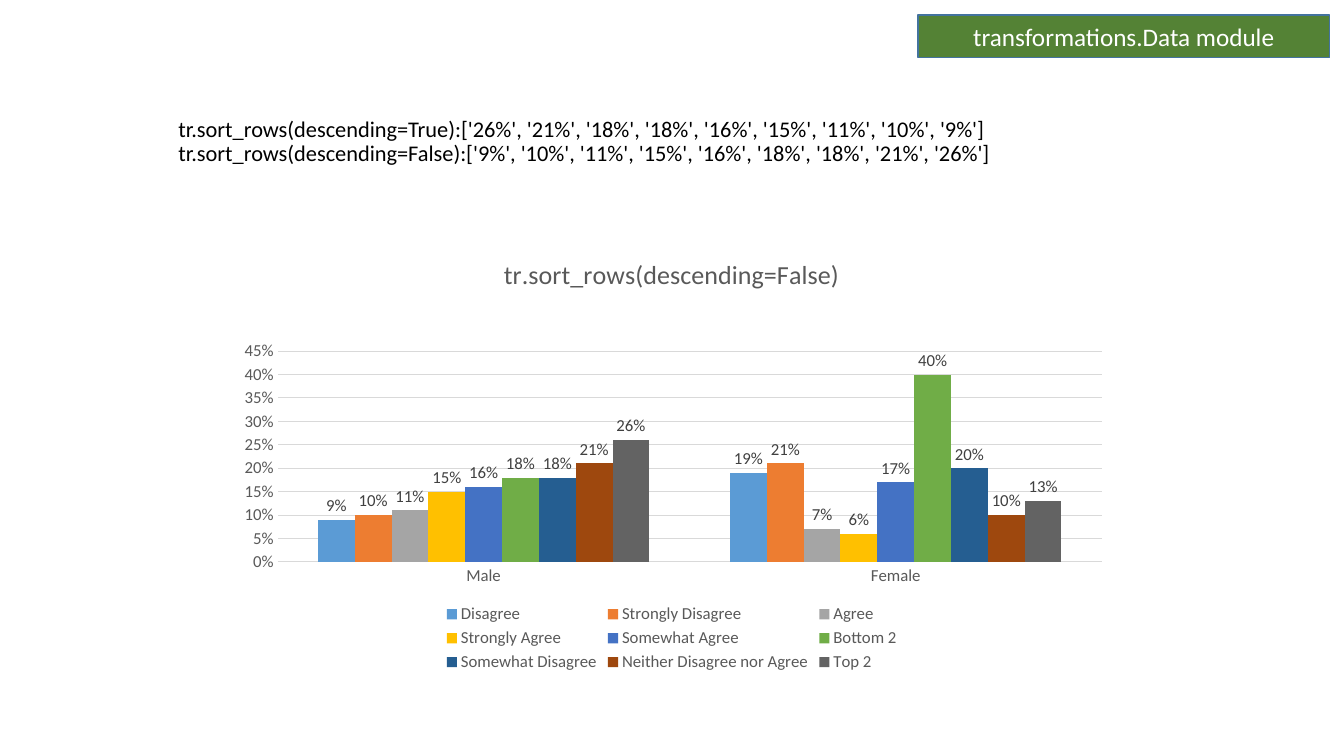
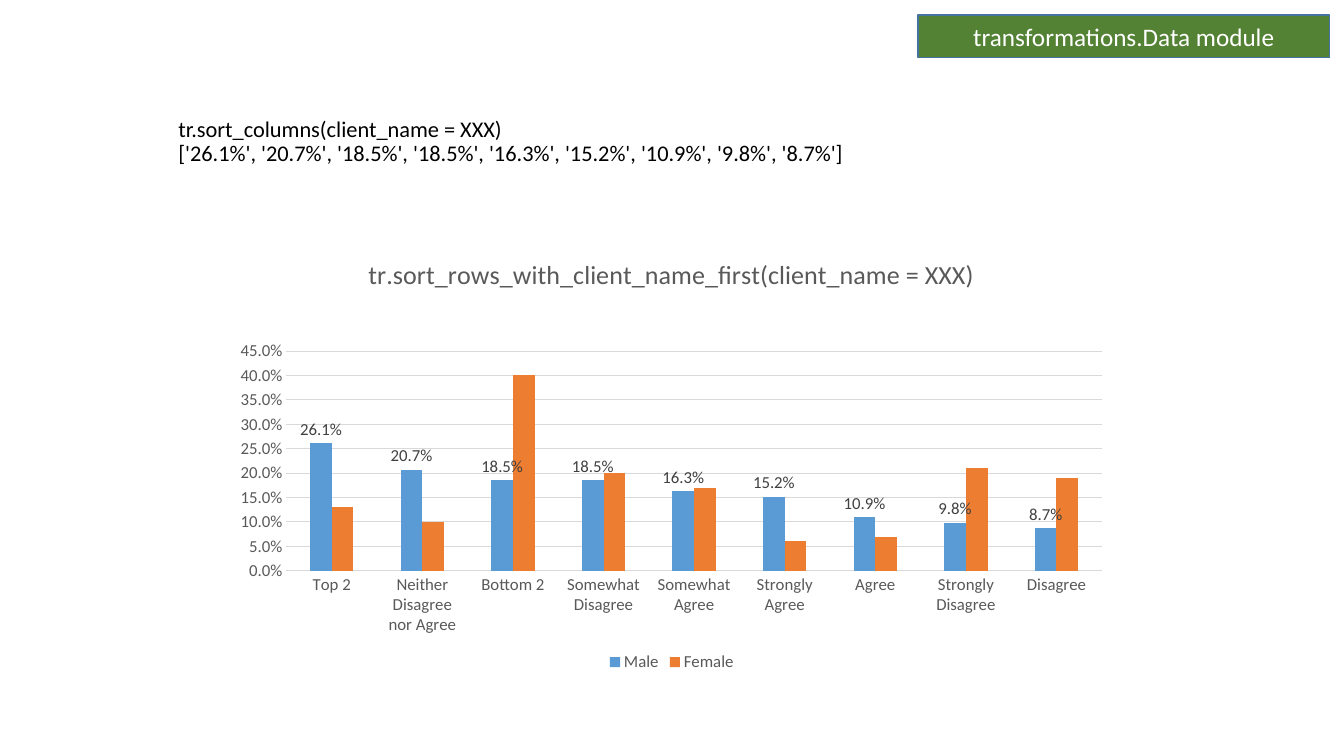
"""Builds two slides on sorting chart data."""
from lxml import etree
from pptx import Presentation
from pptx.chart.data import CategoryChartData
from pptx.dml.color import RGBColor
from pptx.enum.chart import XL_CHART_TYPE, XL_LABEL_POSITION, XL_LEGEND_POSITION, XL_TICK_MARK
from pptx.enum.shapes import MSO_SHAPE
from pptx.enum.text import MSO_ANCHOR, MSO_AUTO_SIZE, PP_ALIGN
from pptx.oxml.ns import qn
from pptx.util import Cm, Pt

COLUMNS = XL_CHART_TYPE.COLUMN_CLUSTERED
OUTSIDE = XL_LABEL_POSITION.OUTSIDE_END
BOTTOM = XL_LEGEND_POSITION.BOTTOM
NO_TICK = XL_TICK_MARK.NONE
RECTANGLE = MSO_SHAPE.RECTANGLE

COLORS = {
    "black": "000000", "white": "FFFFFF", "band": "548235", "edge": "43739E",
    "grey": "595959", "label": "404040", "grid": "D9D9D9",
}
SERIES_COLORS = ["5B9BD5", "ED7D31", "A5A5A5", "FFC000", "4472C4",
                 "70AD47", "255E91", "9E480E", "636363"]


class SlideBuilder:
    font_name = "Calibri"

    def __init__(self, deck):
        self.deck = deck
        self.page = None

    def style(self, font, size, color):
        font.name = self.font_name
        font.size = Pt(size)
        font.bold = False
        font.color.rgb = RGBColor.from_string(COLORS[color])

    def line(self, line, color, width):
        line.color.rgb = RGBColor.from_string(COLORS[color])
        line.width = Pt(width)

    def span(self, para, text, size, color):
        span = para.add_run()
        span.text = text
        self.style(span.font, size, color)

    def new_page(self):
        self.page = self.deck.slides.add_slide(self.deck.slide_layouts[0])
        subtitle = self.page.placeholders[1].element
        subtitle.getparent().remove(subtitle)

    def title(self, lines):
        box = self.page.shapes.title
        box.left, box.top, box.width, box.height = Cm(4.24), Cm(2.39), Cm(25.4), Cm(1.93)
        frame = box.text_frame
        frame.word_wrap = True
        frame.auto_size = MSO_AUTO_SIZE.NONE
        frame.vertical_anchor = MSO_ANCHOR.BOTTOM
        para = frame.paragraphs[0]
        para.alignment = PP_ALIGN.LEFT
        para.line_spacing = 0.9
        for index, text in enumerate(lines):
            if index:
                para.add_line_break()
            self.span(para, text, 16, "black")

    def band(self, text):
        box = self.page.shapes.add_shape(RECTANGLE, Cm(23.14), Cm(0.38), Cm(10.36), Cm(1.07))
        box.shadow.inherit = False
        box.fill.solid()
        box.fill.fore_color.rgb = RGBColor.from_string(COLORS["band"])
        self.line(box.line, "edge", 1)
        box.text_frame.vertical_anchor = MSO_ANCHOR.MIDDLE
        para = box.text_frame.paragraphs[0]
        para.alignment = PP_ALIGN.CENTER
        self.span(para, text, 18, "white")

    def chart(self, heading, categories, series, number_format, labelled, plot_frame):
        data = CategoryChartData(number_format=number_format)
        data.categories = categories
        for name, values in series:
            data.add_series(name, values)
        chart = self.page.shapes.add_chart(
            COLUMNS, Cm(5.64), Cm(5.97), Cm(22.58), Cm(11.07), data).chart
        self.style(chart.font, 10, "black")
        chart.has_title = True
        self.span(chart.chart_title.text_frame.paragraphs[0], heading, 18.6, "grey")
        chart.has_legend = True
        chart.legend.position = BOTTOM
        chart.legend.include_in_layout = False
        self.style(chart.legend.font, 12, "grey")
        self.axes(chart, number_format)
        self.series(chart.plots[0], number_format, labelled)
        self.place_plot(chart, plot_frame)

    def axes(self, chart, number_format):
        for axis in (chart.category_axis, chart.value_axis):
            axis.major_tick_mark = axis.minor_tick_mark = NO_TICK
            self.style(axis.tick_labels.font, 12, "grey")
        self.line(chart.category_axis.format.line, "grid", 0.75)
        values = chart.value_axis
        values.minimum_scale, values.maximum_scale, values.major_unit = 0, 0.45, 0.05
        values.format.line.fill.background()
        values.has_major_gridlines = True
        self.line(values.major_gridlines.format.line, "grid", 0.75)
        values.tick_labels.number_format = number_format
        values.tick_labels.number_format_is_linked = False

    def series(self, plot, number_format, labelled):
        plot.gap_width = 219
        plot.overlap = 0
        plot.vary_by_categories = False
        for index, (series, color) in enumerate(zip(plot.series, SERIES_COLORS)):
            series.format.fill.solid()
            series.format.fill.fore_color.rgb = RGBColor.from_string(color)
            if index < labelled:
                labels = series.data_labels
                labels.show_value = True
                labels.position = OUTSIDE
                labels.number_format = number_format
                labels.number_format_is_linked = False
                self.style(labels.font, 12, "label")

    def place_plot(self, chart, plot_frame):
        area = chart.plots[0]._element.getparent()
        for old in area.findall(qn("c:layout")):
            area.remove(old)
        layout = etree.Element(qn("c:layout"))
        manual = etree.SubElement(layout, qn("c:manualLayout"))
        settings = [("layoutTarget", "inner"), ("xMode", "edge"), ("yMode", "edge")]
        settings += zip("xywh", plot_frame)
        for tag, value in settings:
            etree.SubElement(manual, qn(f"c:{tag}")).set("val", str(value))
        area.insert(0, layout)


SLIDES = [
    {
        "lines": [
            "tr.sort_rows(descending=True):['26%', '21%', '18%', '18%', '16%', '15%', '11%', '10%', '9%']",
            "tr.sort_rows(descending=False):['9%', '10%', '11%', '15%', '16%', '18%', '18%', '21%', '26%']",
        ],
        "chart": {
            "heading": "tr.sort_rows(descending=False)",
            "categories": ["Male", "Female"],
            "series": [
                ("Disagree", [0.09, 0.19]),
                ("Strongly Disagree", [0.1, 0.21]),
                ("Agree", [0.11, 0.07]),
                ("Strongly Agree", [0.15, 0.06]),
                ("Somewhat Agree", [0.16, 0.17]),
                ("Bottom 2", [0.18, 0.4]),
                ("Somewhat Disagree", [0.18, 0.2]),
                ("Neither Disagree nor Agree", [0.21, 0.1]),
                ("Top 2", [0.26, 0.13]),
            ],
            "number_format": "0%",
            "labelled": 9,
            "plot_frame": (0.06, 0.26, 0.92, 0.48),
        },
    },
    {
        "lines": [
            "tr.sort_columns(client_name = XXX)",
            "['26.1%', '20.7%', '18.5%', '18.5%', '16.3%', '15.2%', '10.9%', '9.8%', '8.7%']",
        ],
        "chart": {
            "heading": "tr.sort_rows_with_client_name_first(client_name = XXX)",
            "categories": ["Top 2", "Neither Disagree nor Agree", "Bottom 2",
                           "Somewhat Disagree", "Somewhat Agree", "Strongly Agree",
                           "Agree", "Strongly Disagree", "Disagree"],
            "series": [
                ("Male", [0.261, 0.207, 0.185, 0.185, 0.163, 0.152, 0.109, 0.098, 0.087]),
                ("Female", [0.13, 0.1, 0.4, 0.2, 0.17, 0.06, 0.07, 0.21, 0.19]),
            ],
            "number_format": "0.0%",
            "labelled": 1,
            "plot_frame": (0.07, 0.26, 0.91, 0.5),
        },
    },
]


def main():
    deck = Presentation()
    deck.slide_width, deck.slide_height = Cm(33.87), Cm(19.05)
    builder = SlideBuilder(deck)
    for slide in SLIDES:
        builder.new_page()
        builder.title(slide["lines"])
        builder.band("transformations.Data module")
        builder.chart(**slide["chart"])
    deck.save("out.pptx")


if __name__ == "__main__":
    main()
